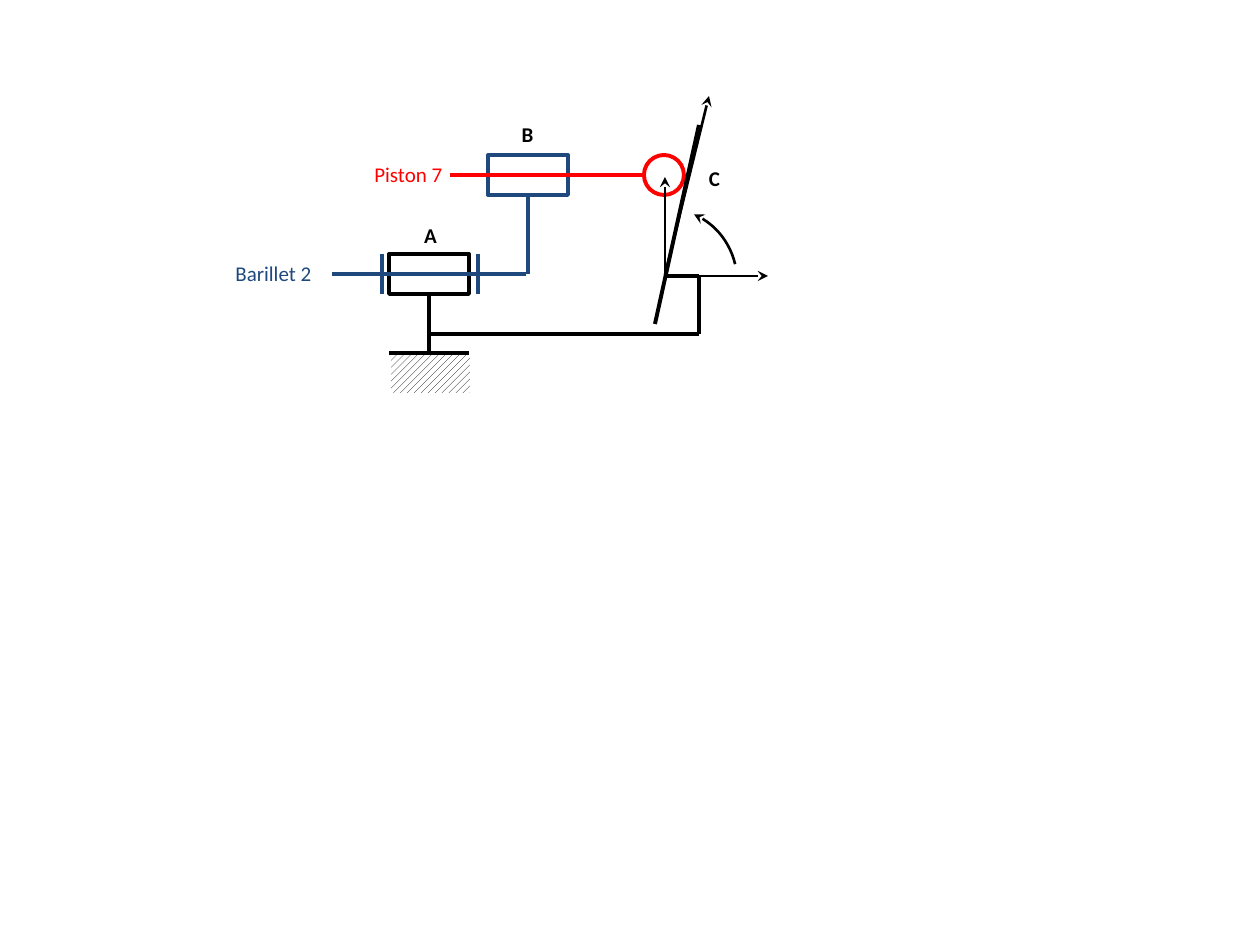
from pptx import Presentation
from pptx.dml.color import RGBColor
from pptx.enum.dml import MSO_PATTERN
from pptx.enum.shapes import MSO_CONNECTOR, MSO_SHAPE
from pptx.enum.text import MSO_AUTO_SIZE, PP_ALIGN
from pptx.util import Emu, Pt
from lxml import etree

PX = 914400 / 126
STRAIGHT = MSO_CONNECTOR.STRAIGHT
RECT, OVAL, ARC = MSO_SHAPE.RECTANGLE, MSO_SHAPE.OVAL, MSO_SHAPE.ARC
HATCH = MSO_PATTERN.WIDE_UPWARD_DIAGONAL
GROW = MSO_AUTO_SIZE.SHAPE_TO_FIT_TEXT
LEFT, CENTER = PP_ALIGN.LEFT, PP_ALIGN.CENTER
HEX = {"black": "000000", "blue": "1F497D", "red": "FF0000", "white": "FFFFFF"}
RGB = {name: RGBColor.from_string(code) for name, code in HEX.items()}
NS = "{http://schemas.openxmlformats.org/drawingml/2006/main}"

prs = Presentation()
prs.slide_width, prs.slide_height = Emu(round(1260 * PX)), Emu(round(945 * PX))
slide = prs.slides.add_slide(prs.slide_layouts[6])
shapes = slide.shapes


def emu(*nums):
    return [Emu(round(num * PX)) for num in nums]


def pen(item, color, width, end=None):
    item.line.color.rgb = RGB[color]
    item.line.width = Pt(width)
    if end:
        etree.SubElement(item.line._get_or_add_ln(), NS + end, type="stealth")


# Hatched ground
ground = shapes.add_shape(RECT, *emu(391, 354, 79, 39))
ground.shadow.inherit = False
ground.fill.patterned()
ground.fill.pattern = HATCH
ground.fill.fore_color.rgb = RGB["black"]
ground.fill.back_color.rgb = RGB["white"]
ground.line.fill.background()

# Joint outlines: pivot A, slide B, ball C, angle arc
outlines = [
    (RECT, 389, 254, 80, 40, "black", 2.25),
    (RECT, 488, 155, 80, 40, "blue", 2.25),
    (OVAL, 644, 155, 40, 40, "red", 2.25),
    (ARC, 592, 208, 145, 145, "black", 1.5),
]
for kind, x, y, w, h, color, width in outlines:
    shape = shapes.add_shape(kind, *emu(x, y, w, h))
    shape.shadow.inherit = False
    shape.fill.background()
    pen(shape, color, width, "headEnd" if kind == ARC else None)
    if kind == ARC:
        # Angles are in 60000ths of a degree, adjustments in 100000ths
        shape.adjustments[0] = 294 * 0.6
        shape.adjustments[1] = 347 * 0.6

# Links, then axes with arrowheads
links = [
    (332, 274, 526, 274, "blue"),
    (528, 195, 528, 274, "blue"),
    (450, 175, 644, 175, "red"),
    (382, 254, 382, 294, "blue"),
    (478, 254, 478, 294, "blue"),
    (429, 295, 429, 353, "black"),
    (469, 353, 389, 353, "black"),
    (699, 125, 655, 324, "black"),
    (665, 276, 699, 276, "black"),
    (428, 334, 699, 334, "black"),
    (699, 275, 699, 334, "black"),
]
axes = [
    (669, 276, 768, 276, "black"),
    (665, 276, 665, 177, "black"),
    (665, 275, 709, 96, "black"),
]
for group, width, end in [(links, 2.25, None), (axes, 1.5, "tailEnd")]:
    for *ends, color in group:
        line = shapes.add_connector(STRAIGHT, *emu(*ends))
        pen(line, color, width, end)
        etree.SubElement(line._element.spPr, NS + "effectLst")

# Labels
labels = [
    ("Piston 7", 362, 155, 198, "red", LEFT),
    ("Barillet 2", 223, 254, 198, "blue", LEFT),
    ("A", 408, 216, 45, "black", CENTER),
    ("B", 505, 115, 45, "black", CENTER),
    ("C", 692, 159, 45, "black", CENTER),
]
for text, x, y, w, color, align in labels:
    frame = shapes.add_textbox(*emu(x, y, w, 38)).text_frame
    frame.word_wrap = True
    frame.auto_size = GROW
    frame.text = text
    para = frame.paragraphs[0]
    para.alignment = align
    font = para.runs[0].font
    font.name, font.size = "Calibri", Pt(12)
    font.bold = align == CENTER
    font.color.rgb = RGB[color]

prs.save("out.pptx")
